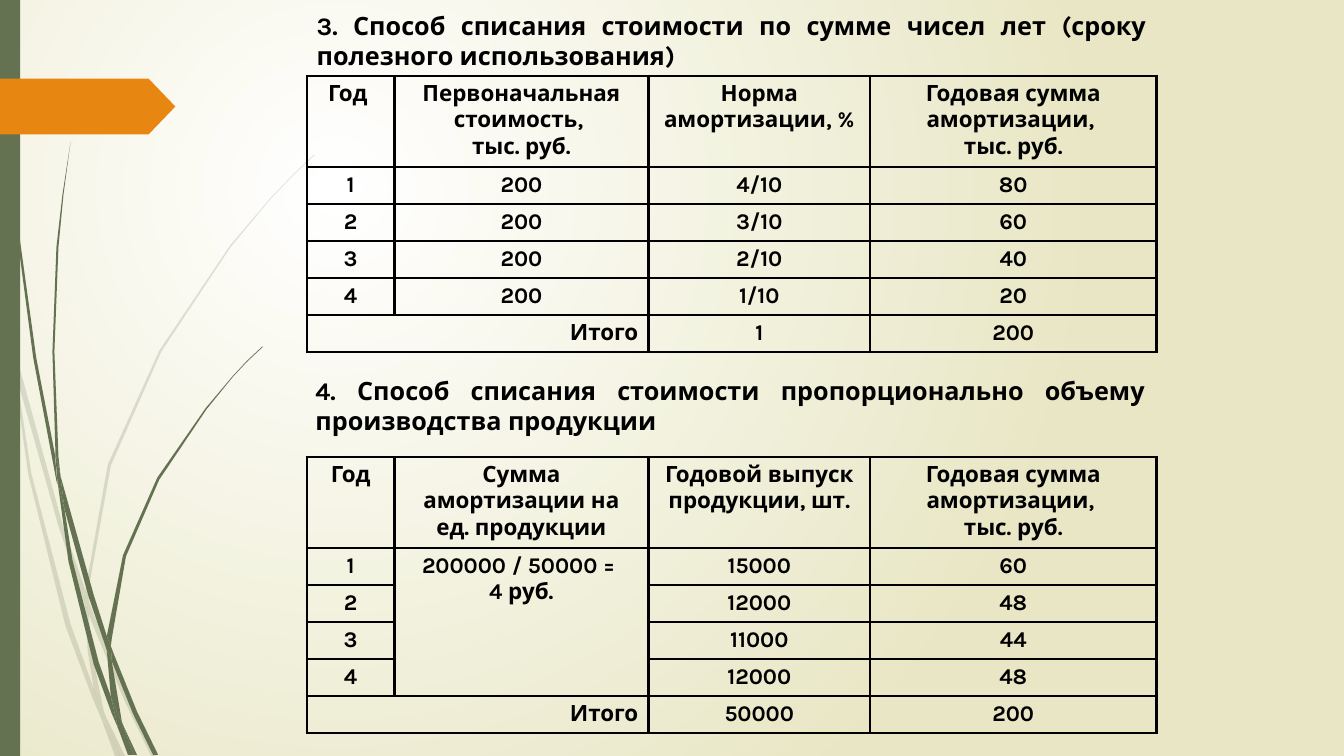
import pptx
import pptx.dml.color
import pptx.enum.shapes
import pptx.enum.text
import pptx.oxml
import pptx.oxml.ns
import pptx.util

Cm = pptx.util.Cm
Pt = pptx.util.Pt
RGBColor = pptx.dml.color.RGBColor
ALIGN = pptx.enum.text.PP_ALIGN

BLACK = RGBColor(0x00, 0x00, 0x00)
WHITE = RGBColor(0xFF, 0xFF, 0xFF)
CREAM = RGBColor(0xE8, 0xE6, 0xC4)
GREEN = RGBColor(0x64, 0x72, 0x52)
AMBER = RGBColor(0xE7, 0x87, 0x12)

HEAD_FONT = {"name": "Karla", "size": Pt(18), "bold": True}
CELL_FONT = {"name": "Karla", "size": Pt(16), "bold": True}
HEAD_FRAME = {
    "word_wrap": True,
    "auto_size": pptx.enum.text.MSO_AUTO_SIZE.SHAPE_TO_FIT_TEXT,
    "vertical_anchor": pptx.enum.text.MSO_ANCHOR.TOP,
    "margin_left": Cm(0.25), "margin_right": Cm(0.25),
    "margin_top": Cm(0.13), "margin_bottom": Cm(0.13),
}
PLAIN_GRID = {"first_row": False, "horz_banding": False}

COLS = [2.21, 6.4, 5.59, 7.21]
ROWS = [2.28] + [0.93] * 5
LEFT, WIDE = 7.73, 21.41

# Outlines of the grass, in steps of STEP
STEP = Cm(0.0254)
PALE_GRASS = [
    "11,350 9,322 0,282 0,299 10,344",
    "58,522 84,599 85,586 62,520 14,345 17,376",
    "92,607 88,596 88,610 123,694 150,750 155,750 127,692",
    "119,750 124,750 105,711",
    "93,683 70,619 31,469 17,376 11,350 28,470 65,621 92,693 101,714 99,707",
    "84,599 87,646 93,683 96,692 105,711 103,706 91,646 88,610 88,608",
    "88,584 110,462 160,349 229,245 268,198 290,175 312,154 312,153 289,175 "
    "268,197 228,244 158,348 107,461 85,584 85,586 88,596",
    "101,714 114,750 119,750",
    "88,608 88,610 88,596 85,586 84,599",
    "96,692 93,683 99,707 101,714 119,750 105,711",
]
DARK_GRASS = [
    "7,110 17,233 33,355 56,477 57,481 55,457 55,453 36,355 19,232 8,109 "
    "5,48 4,0 3,0 4,48",
    "88,592 106,645 106,631 93,590 60,472 64,505",
    "113,649 110,641 111,656 132,708 152,749 157,749 136,706",
    "110,691 98,657 72,556 64,505 57,477 68,557 93,659 111,708 117,722 116,717",
    "60,472 58,453 54,349 58,245 63,193 70,141 62,193 56,245 52,349 55,449",
    "133,749 136,749 122,719",
    "57,477 64,505 60,472 55,449 55,453",
    "111,633 125,552 158,476 205,406 231,374 245,359 261,344 260,344 245,358 "
    "231,373 204,405 156,474 122,551 106,631 110,641",
    "117,722 127,749 131,749",
    "106,645 110,691 116,706 122,719 121,716 111,656 109,651",
    "106,645 109,651 111,656 110,641 106,631",
    "116,706 110,691 116,717 117,722 130,749 133,749 122,719",
]

FIRST = "3. Способ списания стоимости по сумме чисел лет (сроку полезного использования)"
SECOND = "4. Способ списания стоимости пропорционально объему производства продукции"
YEAR_SUM = "Годовая сумма амортизации, \nтыс. руб."
BY_YEARS = [
    ["Год ", "Первоначальная стоимость, \nтыс. руб.", "Норма амортизации, %", YEAR_SUM],
    ["1", "200", "4/10", "80"],
    ["2", "200", "3/10", "60"],
    ["3", "200", "2/10", "40"],
    ["4", "200", "1/10", "20"],
    ["Итого", "", "1", "200"],
]
BY_OUTPUT = [
    ["Год", "Сумма амортизации на ед. продукции", "Годовой выпуск продукции, шт.", YEAR_SUM],
    ["1", "200000 / 50000 = \n4 руб.", "15000", "60"],
    ["2", "", "12000", "48"],
    ["3", "", "11000", "44"],
    ["4", "", "12000", "48"],
    ["Итого", "", "50000", "200"],
]


def put(item, values):
    for name, value in values.items():
        setattr(item, name, value)


def write(frame, text, font, align):
    frame.text = text
    for para in frame.paragraphs:
        para.alignment = align
        put(para.font, font)
        para.font.color.rgb = BLACK


def paint(shape, color):
    shape.shadow.inherit = False
    shape.fill.solid()
    shape.fill.fore_color.rgb = color
    shape.line.fill.background()


def make(tag, inner=""):
    return pptx.oxml.parse_xml(f"<a:{tag} {pptx.oxml.ns.nsdecls('a')}>{inner}</a:{tag.split()[0]}>")


def fill_back(slide):
    fill = slide.background.fill
    fill.gradient()
    for stop, color, place in zip(fill.gradient_stops, (WHITE, CREAM), (0, 1)):
        stop.color.rgb = color
        stop.position = place
    line = slide.element.xpath(".//p:bg//a:lin")[0]
    rect = '<a:fillToRect l="50000" t="50000" r="100000" b="100000"/>'
    line.getparent().replace(line, make('path path="circle"', rect))


def grow_grass(slide, blades, alpha=None):
    group = slide.shapes.add_group_shape()
    for blade in blades:
        pairs = [pair.split(",") for pair in blade.split()]
        points = [(int(x), int(y)) for x, y in pairs]
        pen = group.shapes.build_freeform(*points[0], scale=STEP)
        pen.add_line_segments(points[1:], close=True)
        shape = pen.convert_to_shape()
        paint(shape, GREEN)
        if alpha:
            tint = shape.element.xpath("./p:spPr/a:solidFill/a:srgbClr")[0]
            tint.append(make(f'alpha val="{alpha * 1000}"'))


def add_trim(slide, height):
    kinds = pptx.enum.shapes.MSO_SHAPE
    bar = slide.shapes.add_shape(kinds.RECTANGLE, 0, 0, Cm(0.51), height)
    paint(bar, GREEN)
    arrow = slide.shapes.add_shape(kinds.PENTAGON, 0, Cm(1.98), Cm(4.42), Cm(1.41))
    arrow.adjustments[0] = 0.48
    paint(arrow, AMBER)


def set_head(shape, text, left, top, width):
    put(shape, {"left": Cm(left), "top": Cm(top), "width": Cm(width), "height": Cm(1.78)})
    put(shape.text_frame, HEAD_FRAME)
    write(shape.text_frame, text, HEAD_FONT, ALIGN.JUSTIFY)


def rule_cell(cell):
    cell.fill.background()
    props = cell._tc.get_or_add_tcPr()
    ink = f'<a:solidFill><a:srgbClr val="{BLACK}"/></a:solidFill>'
    for i, side in enumerate("LRTB"):
        props.insert(i, make(f'ln{side} w="{Pt(2)}"', ink))


def add_grid(slide, data, left, top, width):
    frame = slide.shapes.add_table(len(ROWS), len(COLS), Cm(left), Cm(top), Cm(width), Cm(sum(ROWS)))
    grid = frame.table
    put(grid, PLAIN_GRID)
    for col, size in zip(grid.columns, COLS):
        col.width = Cm(size)
    for row, size, texts in zip(grid.rows, ROWS, data):
        row.height = Cm(size)
        for cell, text in zip(row.cells, texts):
            rule_cell(cell)
            if text:
                align = ALIGN.RIGHT if text == "Итого" else ALIGN.CENTER
                write(cell.text_frame, text, CELL_FONT, align)
    return grid


def build():
    deck = pptx.Presentation()
    put(deck, {"slide_width": Cm(33.87), "slide_height": Cm(19.05)})
    slide = deck.slides.add_slide(deck.slide_layouts[5])
    fill_back(slide)
    grow_grass(slide, PALE_GRASS, 20)
    grow_grass(slide, DARK_GRASS)
    add_trim(slide, deck.slide_height)

    set_head(slide.shapes.title, FIRST, LEFT, 0.13, WIDE)
    years = add_grid(slide, BY_YEARS, LEFT, 1.92, WIDE)
    set_head(slide.shapes.add_textbox(0, 0, 0, 0), SECOND, LEFT - 0.03, 9.32, WIDE)
    output = add_grid(slide, BY_OUTPUT, LEFT, 11.52, WIDE)
    for grid in (years, output):
        grid.cell(5, 0).merge(grid.cell(5, 1))
    output.cell(1, 1).merge(output.cell(4, 1))
    deck.save("out.pptx")


if __name__ == "__main__":
    build()
